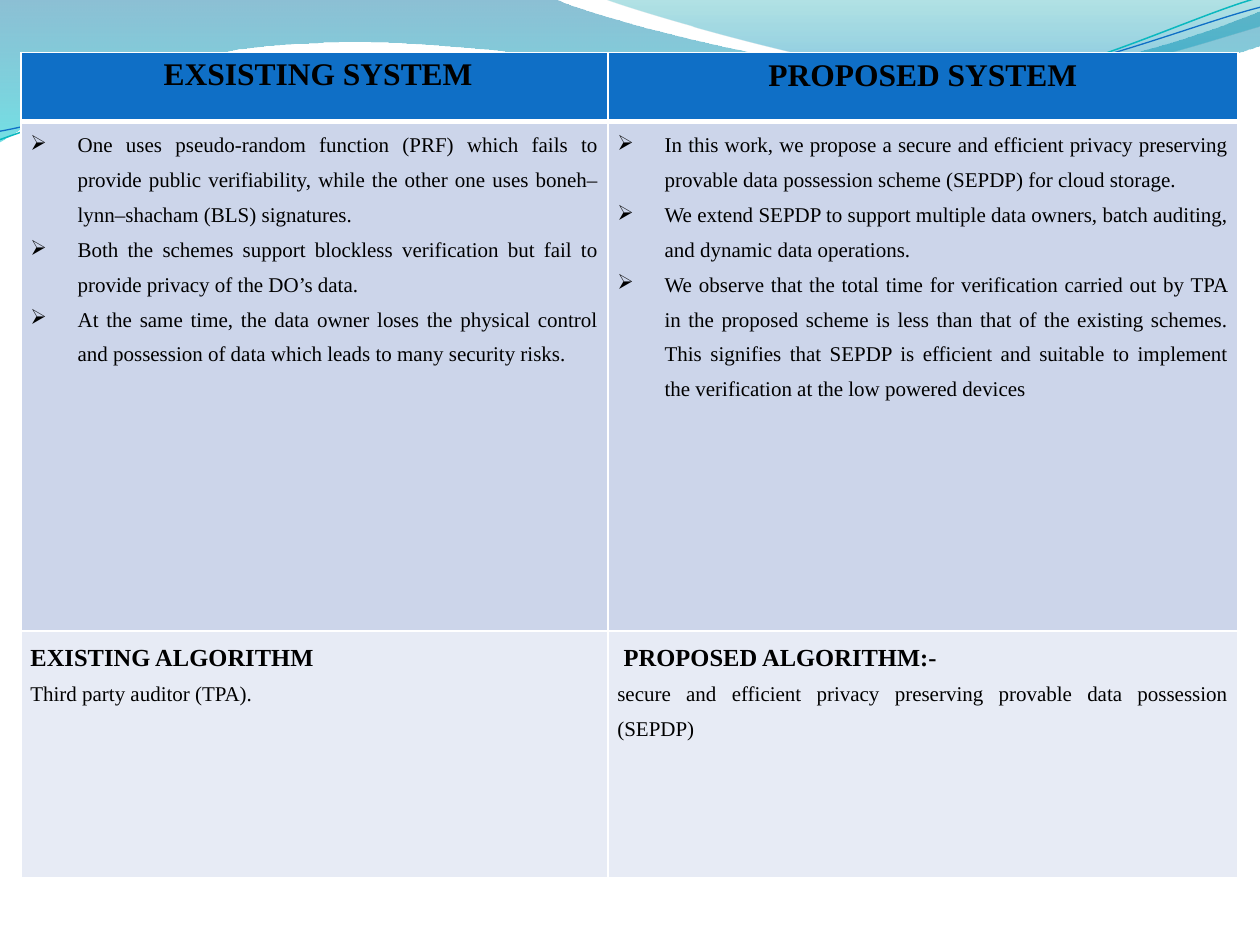
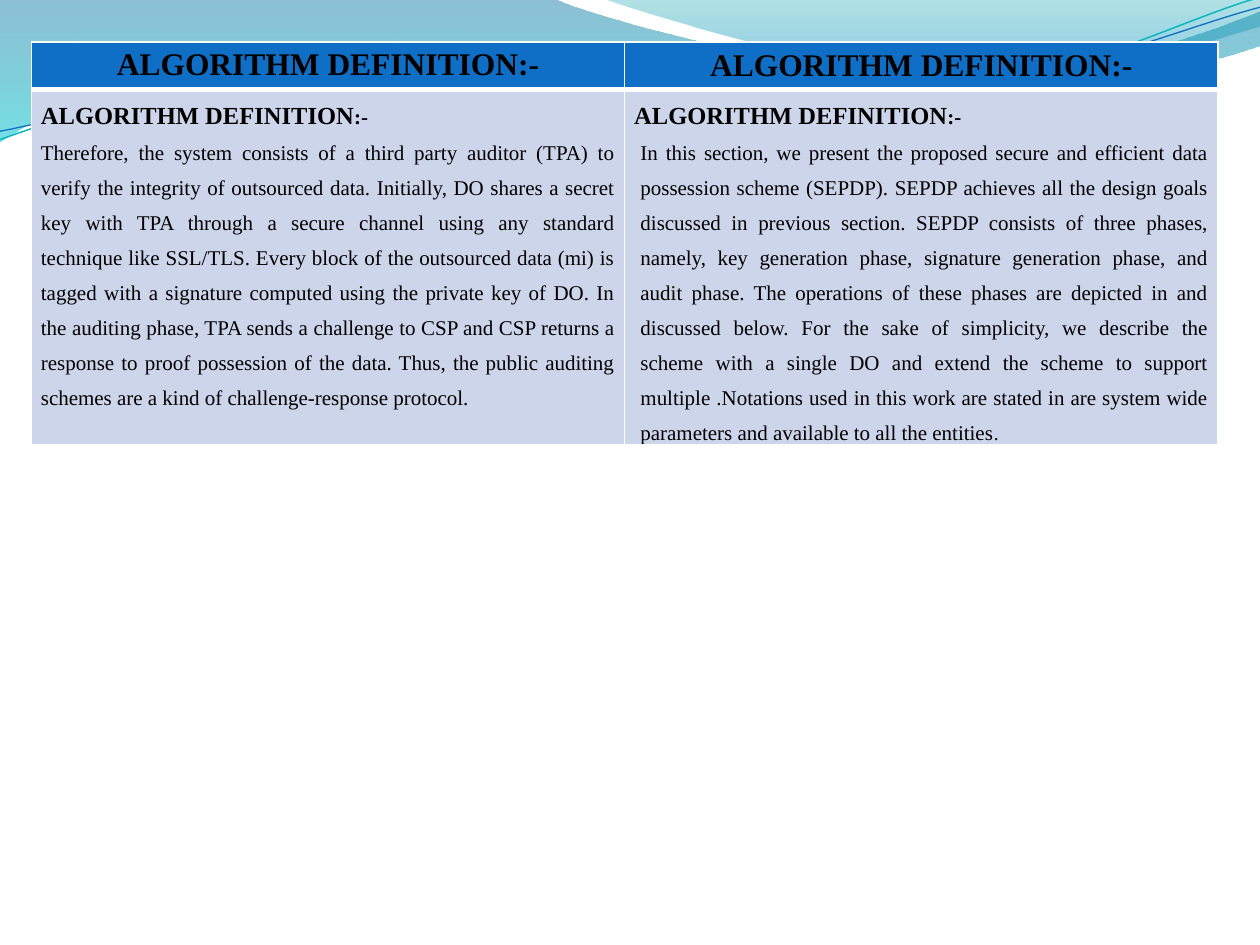
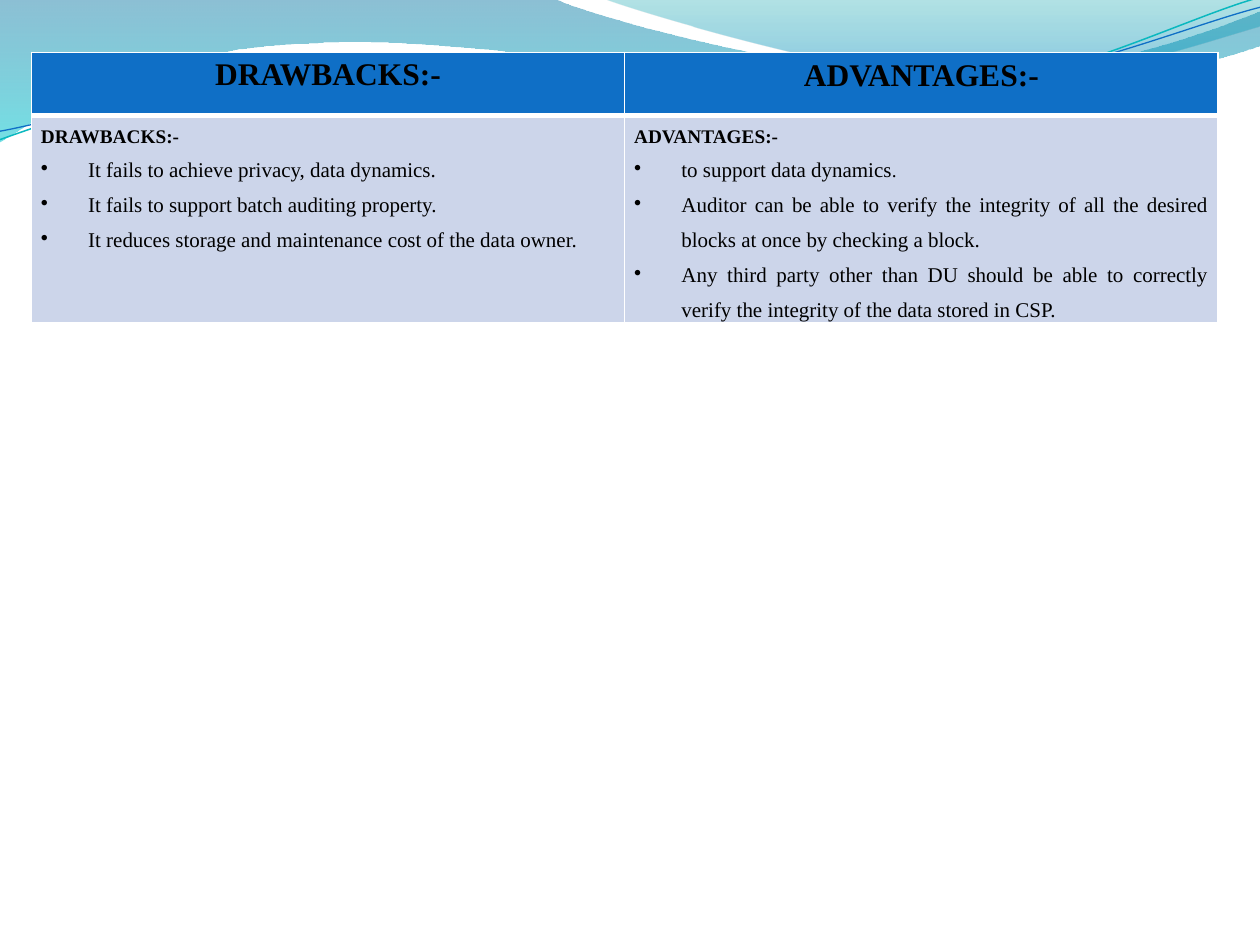
"""Build three comparison slides on a shared wave background."""

import dataclasses

import lxml.etree
import pptx
import pptx.dml.color
import pptx.enum.text
import pptx.oxml.ns
import pptx.util

EMU_PER_PX = 7620
FONT_NAME = "Times New Roman"
BULLET_FONT = "OpenSymbol"

BLACK = pptx.dml.color.RGBColor(0x00, 0x00, 0x00)
WHITE = pptx.dml.color.RGBColor(0xFF, 0xFF, 0xFF)
BLUE = pptx.dml.color.RGBColor(0x0F, 0x6F, 0xC6)
TEAL = pptx.dml.color.RGBColor(0x0A, 0xB8, 0xBF)
DEEP_BLUE = pptx.dml.color.RGBColor(0x00, 0x74, 0xA1)
AQUA = pptx.dml.color.RGBColor(0x00, 0xC6, 0xCF)
SEA_GREEN = pptx.dml.color.RGBColor(0x00, 0xA1, 0xA9)
SKY_BLUE = pptx.dml.color.RGBColor(0x00, 0x8B, 0xBF)
PALE_BLUE = pptx.dml.color.RGBColor(0xCC, 0xD5, 0xEA)
PALEST_BLUE = pptx.dml.color.RGBColor(0xE7, 0xEB, 0xF5)
ROW_FILLS = (BLUE, PALE_BLUE, PALEST_BLUE)

LEFT_WAVE = [
    [(0, 0)], [(528, -1)],
    [(571, 20), (797, 76), (910, 76)], [(1024, 76), (1150, 31), (1200, 11)],
    [(1201, 43)],
    [(1180, 53), (1044, 91), (895, 90)], [(746, 90), (458, 34), (308, 41)],
    [(155, 43), (55, 100), (-1, 136)],
    [(0, 0)],
]
RIGHT_WAVE = [
    [(575, -1)],
    [(611, 13), (818, 74), (923, 78)], [(1027, 83), (1153, 38), (1200, 25)],
    [(1200, 0)], [(575, -1)],
]
TEAL_LINE = [
    [(0, 133)],
    [(58, 112), (190, 68), (332, 62)], [(474, 56), (712, 107), (856, 96)],
    [(1000, 85), (1126, 18), (1198, -2)],
]
BLUE_LINE = [
    [(0, 125)],
    [(56, 115), (197, 73), (340, 67)], [(484, 61), (716, 101), (860, 90)],
    [(1003, 80), (1129, 25), (1200, 7)],
]


@dataclasses.dataclass
class Entry:
    """One paragraph of a table cell, with an optional smaller ending."""

    text: str
    size: int = 12
    bold: bool = False
    left: int = 0
    bullet: str = ""
    ending: str = ""
    ending_size: int = 12


def emu(px):
    """Turn px into EMU."""
    return pptx.util.Emu(px * EMU_PER_PX)


def bullets(symbol, *texts):
    """Return bulleted entries with a hanging indent."""
    return [Entry(text, left=45, bullet=symbol) for text in texts]


def bend(shape, segments):
    """Join the lines of each three-point segment into one Bézier curve."""
    lines = iter(list(shape.element.iter(pptx.oxml.ns.qn("a:lnTo"))))
    for segment in segments[1:]:
        parts = [next(lines) for _ in segment]
        if len(parts) == 3:
            curve = lxml.etree.Element(pptx.oxml.ns.qn("a:cubicBezTo"))
            parts[0].addprevious(curve)
            for part in parts:
                curve.append(part[0])
                part.getparent().remove(part)


def add_outline(slide, segments, closed):
    """Add a freeform without shadow along the segments."""
    points = [(emu(x), emu(y)) for segment in segments for x, y in segment]
    builder = slide.shapes.build_freeform(*points[0])
    builder.add_line_segments(points[1:], close=closed)
    shape = builder.convert_to_shape()
    bend(shape, segments)
    shape.shadow.inherit = False
    return shape


def add_wave(slide, segments, stops):
    """Add a wave with a downward, partly transparent gradient."""
    shape = add_outline(slide, segments, True)
    shape.line.fill.background()
    shape.fill.gradient()
    shape.fill.gradient_angle = 270
    for stop, (position, color, _) in zip(shape.fill.gradient_stops, stops):
        stop.position = position
        stop.color.rgb = color
    colors = shape.element.iter(pptx.oxml.ns.qn("a:srgbClr"))
    for element, (_, _, opacity) in zip(colors, stops):
        alpha = lxml.etree.SubElement(element, pptx.oxml.ns.qn("a:alpha"))
        alpha.set("val", str(opacity * 1000))


def add_wave_line(slide, segments, color, width):
    """Add a thin curved line."""
    shape = add_outline(slide, segments, False)
    shape.fill.background()
    shape.line.color.rgb = color
    shape.line.width = pptx.util.Pt(width)


def add_background(slide):
    """Draw the waves and move them to the layout that all slides share."""
    add_wave(slide, LEFT_WAVE, [(0, DEEP_BLUE, 45), (1, AQUA, 55)])
    add_wave(slide, RIGHT_WAVE, [(0, SEA_GREEN, 30), (0.8, SKY_BLUE, 45)])
    add_wave_line(slide, TEAL_LINE, TEAL, 0.85)
    add_wave_line(slide, BLUE_LINE, BLUE, 0.75)
    layout = slide.slide_layout
    for placeholder in list(layout.placeholders):
        layout.shapes.element.remove(placeholder.element)
    for shape in list(slide.shapes):
        layout.shapes.element.append(shape.element)


def set_borders(cell, row_index):
    """Draw white borders, with a thick rule under the header."""
    properties = cell._tc.get_or_add_tcPr()
    thick_side = {0: "lnB", 1: "lnT"}.get(row_index)
    for side in ("lnL", "lnR", "lnT", "lnB"):
        border = lxml.etree.SubElement(properties, pptx.oxml.ns.qn("a:" + side))
        border.set("w", str(pptx.util.Pt(3 if side == thick_side else 1)))
        fill = lxml.etree.SubElement(border, pptx.oxml.ns.qn("a:solidFill"))
        color = lxml.etree.SubElement(fill, pptx.oxml.ns.qn("a:srgbClr"))
        color.set("val", str(WHITE))


def set_margins(cell, side, vertical):
    """Set the inner margins of a cell."""
    cell.margin_left = cell.margin_right = emu(side)
    cell.margin_top = cell.margin_bottom = emu(vertical)


def write_entry(paragraph, entry):
    """Write one entry into a paragraph."""
    properties = paragraph._p.get_or_add_pPr()
    if entry.left:
        properties.set("marL", str(emu(entry.left)))
        properties.set("indent", str(emu(-entry.left if entry.bullet else 0)))
    if entry.bullet:
        font = lxml.etree.SubElement(properties, pptx.oxml.ns.qn("a:buFont"))
        font.set("typeface", BULLET_FONT)
        bullet = lxml.etree.SubElement(properties, pptx.oxml.ns.qn("a:buChar"))
        bullet.set("char", entry.bullet)
    paragraph.font.name = FONT_NAME
    paragraph.font.size = pptx.util.Pt(entry.size)
    paragraph.font.bold = entry.bold
    paragraph.font.color.rgb = BLACK
    paragraph.add_run().text = entry.text
    if entry.ending:
        run = paragraph.add_run()
        run.text = entry.ending
        run.font.size = pptx.util.Pt(entry.ending_size)


def fill_header(cell, entry, is_first):
    """Write a centred column title."""
    paragraph = cell.text_frame.paragraphs[0]
    write_entry(paragraph, entry)
    paragraph.alignment = pptx.enum.text.PP_ALIGN.CENTER
    if is_first:
        set_margins(cell, 14, 0)
        paragraph.line_spacing = 1.15
        paragraph.space_after = pptx.util.Pt(10)
    else:
        set_margins(cell, 12, 6)


def fill_body(cell, entries):
    """Write justified entries, one paragraph each."""
    set_margins(cell, 9, 0)
    frame = cell.text_frame
    for index, entry in enumerate(entries):
        paragraph = frame.add_paragraph() if index else frame.paragraphs[0]
        write_entry(paragraph, entry)
        paragraph.alignment = pptx.enum.text.PP_ALIGN.JUSTIFY
        paragraph.line_spacing = 1.5


def add_comparison(slide, left, top, height, widths, heights, titles, body):
    """Add a two-column comparison table."""
    frame = slide.shapes.add_table(
        len(heights), len(widths), emu(left), emu(top), emu(sum(widths)), emu(height)
    )
    table = frame.table
    for column, width in zip(table.columns, widths):
        column.width = emu(width)
    for row, row_height in zip(table.rows, heights):
        row.height = emu(row_height)
    frame.height = emu(height)
    for row_index, contents in enumerate([titles, *body]):
        for column_index, content in enumerate(contents):
            cell = table.cell(row_index, column_index)
            set_borders(cell, row_index)
            cell.fill.solid()
            cell.fill.fore_color.rgb = ROW_FILLS[row_index]
            if row_index == 0:
                fill_header(cell, content, column_index == 0)
            else:
                fill_body(cell, content)


def title(text, left=0):
    """Return the entry of a column title."""
    return Entry(text, 18, True, left)


def add_systems(slide):
    """Compare the two systems and their algorithms."""
    existing = bullets(
        "➢",
        "One uses pseudo-random function (PRF) which fails to provide public "
        "verifiability, while the other one uses boneh–lynn–shacham (BLS) signatures.",
        "Both the schemes support blockless verification but fail to provide privacy "
        "of the DO’s data.",
        "At the same time, the data owner loses the physical control and possession "
        "of data which leads to many security risks.",
    )
    proposed = bullets(
        "➢",
        "In this work, we propose a secure and efficient privacy preserving provable "
        "data possession scheme (SEPDP) for cloud storage.",
        "We extend SEPDP to support multiple data owners, batch auditing, and dynamic "
        "data operations.",
        "We observe that the total time for verification carried out by TPA in the "
        "proposed scheme is less than that of the existing schemes. This signifies "
        "that SEPDP is efficient and suitable to implement the verification at the "
        "low powered devices",
    )
    existing_algorithm = [
        Entry("EXISTING ALGORITHM", 14, True),
        Entry("Third party auditor (TPA)."),
    ]
    proposed_algorithm = [
        Entry("PROPOSED ALGORITHM:-", 14, True, left=6),
        Entry("secure and efficient privacy preserving provable data possession (SEPDP)"),
    ]
    add_comparison(
        slide, 20, 50, 787, (559, 600), (66, 485, 235),
        [title("EXSISTING SYSTEM", left=7), title("PROPOSED SYSTEM")],
        [[existing, proposed], [existing_algorithm, proposed_algorithm]],
    )


def add_definitions(slide):
    """Compare the two algorithm definitions."""
    heading = Entry("ALGORITHM DEFINITION", 14, True, ending=":-")
    existing = Entry(
        "Therefore, the system consists of a third party auditor (TPA) to verify the "
        "integrity of outsourced data. Initially, DO shares a secret key with TPA "
        "through a secure channel using any standard technique like SSL/TLS. Every "
        "block of the outsourced data (mi) is tagged with a signature computed using "
        "the private key of DO. In the auditing phase, TPA sends a challenge to CSP "
        "and CSP returns a response to proof possession of the data. Thus, the public "
        "auditing schemes are a kind of challenge-response protocol."
    )
    proposed = Entry(
        "In this section, we present the proposed secure and efficient data possession "
        "scheme (SEPDP). SEPDP achieves all the design goals discussed in previous "
        "section. SEPDP consists of three phases, namely, key generation phase, "
        "signature generation phase, and audit phase. The operations of these phases "
        "are depicted in and discussed below. For the sake of simplicity, we describe "
        "the scheme with a single DO and extend the scheme to support multiple "
        ".Notations used in this work are stated in are system wide parameters and "
        "available to all the entities",
        left=6, ending=".", ending_size=11,
    )
    add_comparison(
        slide, 30, 40, 414, (565, 565), (24, 305),
        [title("ALGORITHM DEFINITION:-")] * 2,
        [[[heading, existing], [heading, proposed]]],
    )


def add_results(slide):
    """Compare drawbacks with advantages."""
    drawbacks = bullets(
        "•",
        "It fails to achieve privacy, data dynamics.",
        "It fails to support batch auditing property.",
        "It reduces storage and maintenance cost of the data owner.",
    )
    dynamics = Entry(
        "to support data dynamics", left=45, bullet="•", ending=".", ending_size=11
    )
    advantages = bullets(
        "•",
        "Auditor can be able to verify the integrity of all the desired blocks at once "
        "by checking a block.",
        "Any third party other than DU should be able to correctly verify the integrity "
        "of the data stored in CSP.",
    )
    add_comparison(
        slide, 30, 50, 272, (565, 565), (60, 37),
        [title("DRAWBACKS:-"), title("ADVANTAGES:-")],
        [[
            [Entry("DRAWBACKS:-", 11, True), *drawbacks],
            [Entry("ADVANTAGES:-", 11, True), dynamics, *advantages],
        ]],
    )


def main():
    """Build and save the presentation."""
    presentation = pptx.Presentation()
    presentation.slide_width = emu(1200)
    presentation.slide_height = emu(900)
    blank_layout = presentation.slide_layouts[6]
    contents = (add_systems, add_definitions, add_results)
    slides = [presentation.slides.add_slide(blank_layout) for _ in contents]
    add_background(slides[0])
    for slide, add_content in zip(slides, contents):
        add_content(slide)
    presentation.save("out.pptx")


if __name__ == "__main__":
    main()
